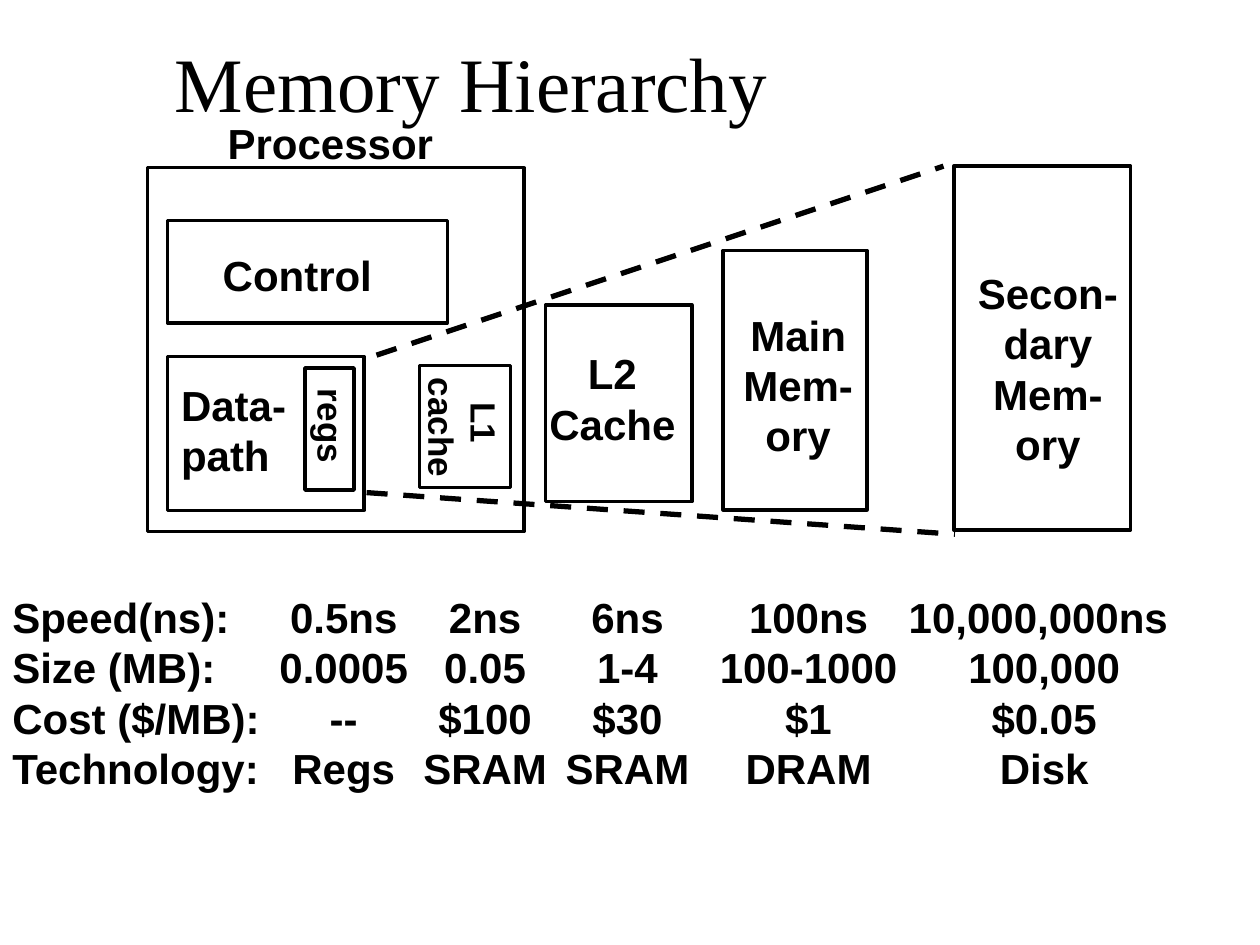
from lxml import etree
from pptx import Presentation
from pptx.dml.color import RGBColor
from pptx.enum.dml import MSO_LINE_DASH_STYLE as Dash
from pptx.enum.shapes import MSO_CONNECTOR as Connector, MSO_SHAPE as Shape
from pptx.enum.text import MSO_AUTO_SIZE as AutoSize, PP_ALIGN as Align
from pptx.oxml.ns import qn
from pptx.util import Cm, Pt

BLACK = "000000"
FACTS = [
    "Speed(ns):\t0.5ns\t2ns\t6ns\t100ns\t10,000,000ns ",
    "Size (MB):\t0.0005\t0.05\t1-4\t100-1000\t100,000\t",
    "Cost ($/MB):\t--\t$100\t$30\t$1\t $0.05 ",
    "Technology:\tRegs\tSRAM\tSRAM\tDRAM\tDisk",
]
FACT_TABS = [6.68, 9.53, 12.4, 16.05, 20.8]
LEVELS = [
    ((11, 6.15, 2.95, 3.96), (-0.18, 0.73, 3.05, 2.29), "L2\nCache"),
    ((14.58, 5.05, 2.9, 5.23), (0.15, 1.05, 2.72, 3.3), "Main\nMem-\nory"),
    ((19.23, 3.35, 3.56, 7.34), (0.23, 1.91, 3.33, 4.32), "Secon-\ndary\nMem-\nory"),
]


def color(value):
    """Turn a hex string into a colour."""
    return RGBColor.from_string(value)


def inside(box, part):
    """Shift a part from the corner of its box to the page."""
    return (box[0] + part[0], box[1] + part[1], *part[2:])


def add_frame(page, box):
    """Draw an unfilled black rectangle."""
    frame = page.shapes.add_shape(Shape.RECTANGLE, *map(Cm, box))
    frame.shadow.inherit = False
    frame.fill.background()
    frame.line.color.rgb = color(BLACK)
    frame.line.width = Pt(2)


def add_text(page, box, text, size=24, align=Align.LEFT, font="Arial", bold=True,
             wrap=False, turn=0, margins=(0.25, 0.13)):
    """Place a text box and format all of its runs."""
    label = page.shapes.add_textbox(*map(Cm, box))
    label.rotation = turn
    body = label.text_frame
    body.word_wrap = wrap
    body.auto_size = AutoSize.SHAPE_TO_FIT_TEXT
    body.margin_left = body.margin_right = Cm(margins[0])
    body.margin_top = body.margin_bottom = Cm(margins[1])
    body.text = text
    for para in body.paragraphs:
        para.alignment = align
        for span in para.runs:
            span.font.name = font
            span.font.size = Pt(size)
            span.font.bold = bold
            span.font.color.rgb = color(BLACK)
    return label


def add_title(page, box):
    """Write the slide title."""
    add_text(page, box, "Memory Hierarchy", 44, Align.CENTER, "Times New Roman",
             bold=False, wrap=True, margins=(0.18, 0.08))


def add_processor(page, box):
    """Draw the processor with its control, datapath, registers and L1 cache."""
    add_frame(page, box)
    for part in [(0.41, 1.07, 5.64, 2.06), (0.41, 3.81, 3.96, 3.1),
                 (3.18, 4.04, 0.99, 2.46), (5.49, 3.99, 1.83, 2.46)]:
        add_frame(page, inside(box, part))
    add_text(page, inside(box, (1.37, -1.14, 4.65, 1.27)), "Processor")
    add_text(page, inside(box, (1.27, 1.52, 3.51, 1.27)), "Control")
    add_text(page, inside(box, (0.43, 4.14, 2.62, 2.29)), "Data-\vpath")
    add_text(page, inside(box, (2.72, 4.67, 2.01, 1.09)), "regs", 20, turn=90)
    add_text(page, inside(box, (5.13, 4.27, 2.51, 1.93)), "L1 \vcache", 20,
             Align.CENTER, turn=90)


def add_level(page, box, label_box, label):
    """Draw one memory level outside the processor."""
    add_frame(page, box)
    add_text(page, inside(box, label_box), label, align=Align.CENTER)


def add_ray(page, start, end):
    """Draw a dashed line from the datapath to the secondary memory."""
    ray = page.shapes.add_connector(Connector.STRAIGHT, *map(Cm, start + end))
    ray.line.color.rgb = color(BLACK)
    ray.line.width = Pt(3)
    ray.line.dash_style = Dash.DASH
    etree.SubElement(ray._element.spPr, qn("a:effectLst"))


def add_facts(page, box):
    """Write the figures of each level on centred tab stops."""
    facts = add_text(page, box, "\v".join(FACTS), wrap=True)
    props = facts.text_frame.paragraphs[0]._p.get_or_add_pPr()
    stops = etree.SubElement(props, qn("a:tabLst"))
    for position in FACT_TABS:
        etree.SubElement(stops, qn("a:tab"), pos=str(int(Cm(position))), algn="ctr")


def main():
    """Build and save the deck."""
    deck = Presentation()
    deck.slide_width, deck.slide_height = Cm(25.4), Cm(19.05)
    page = deck.slides.add_slide(deck.slide_layouts[6])
    add_title(page, (3.3, 0.64, 12.4, 2.03))
    add_processor(page, (2.97, 3.38, 7.59, 7.34))
    for level in LEVELS:
        add_level(page, *level)
    add_ray(page, (7.59, 7.16), (19.02, 3.35))
    add_ray(page, (7.39, 9.93), (19.25, 10.77))
    add_facts(page, (0, 11.79, 25.4, 4.32))
    deck.save("out.pptx")


if __name__ == "__main__":
    main()
